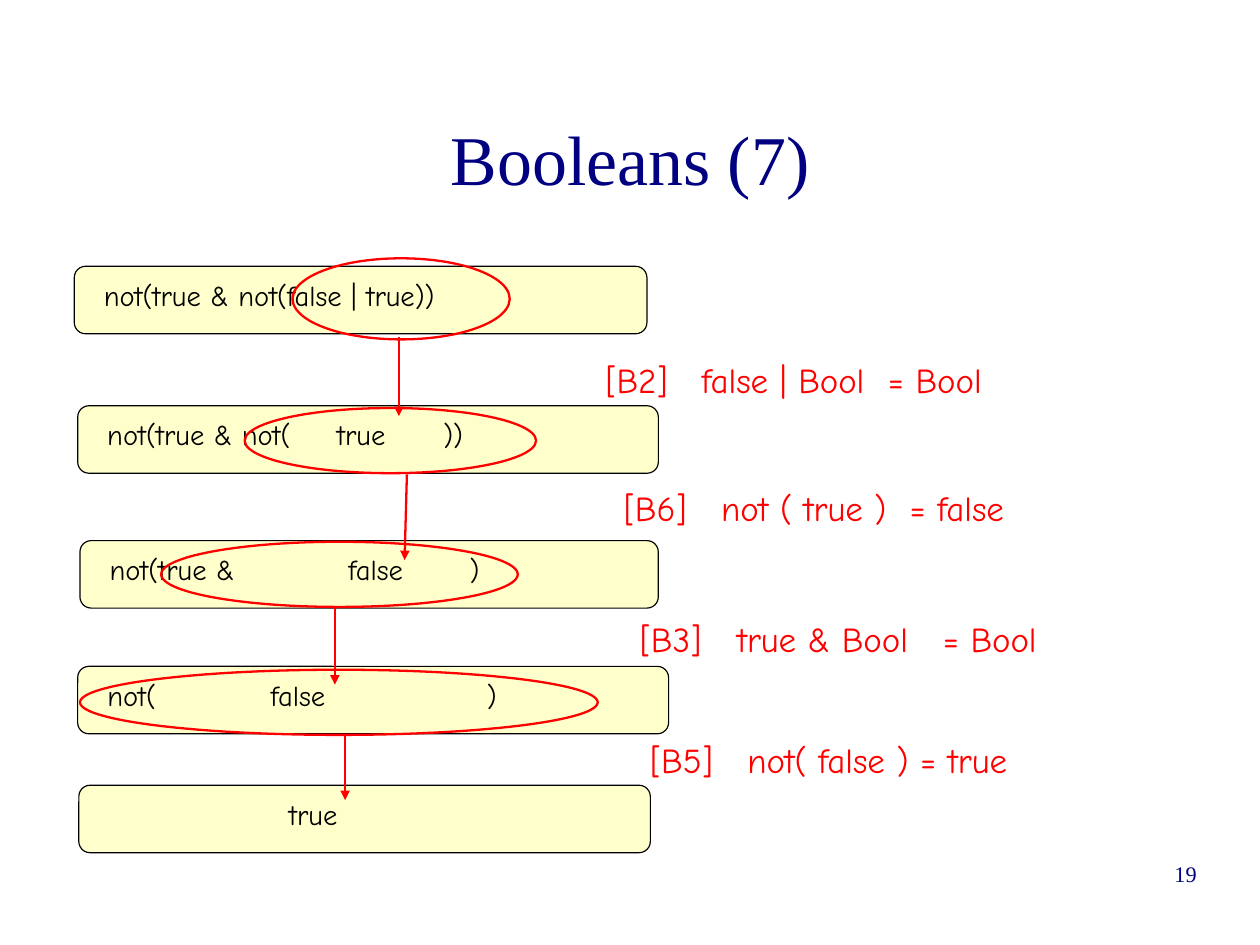
from lxml.etree import SubElement
from pptx import Presentation
from pptx.dml.color import RGBColor
from pptx.enum.shapes import MSO_CONNECTOR, MSO_SHAPE
from pptx.enum.text import MSO_ANCHOR, PP_ALIGN
from pptx.oxml.ns import qn
from pptx.util import Inches, Pt


def color(hex_code):
    return RGBColor.from_string(hex_code)


def write(shape, text, size, font_name, hex_code, alignment=PP_ALIGN.LEFT, tabs=(), insets=(0, 0)):
    frame = shape.text_frame
    frame.word_wrap = True
    frame.margin_left = frame.margin_right = Inches(insets[0])
    frame.margin_top = frame.margin_bottom = Inches(insets[1])
    frame.text = text
    paragraph = frame.paragraphs[0]
    paragraph.alignment = alignment
    if tabs:
        tab_list = SubElement(paragraph._p.get_or_add_pPr(), qn("a:tabLst"))
        for position in tabs:
            SubElement(tab_list, qn("a:tab"), pos=str(Inches(position)), algn="l")
    font = paragraph.runs[0].font
    font.size = Pt(size)
    font.name = font_name
    font.color.rgb = color(hex_code)


SERIF = "Times New Roman"
HAND = "Comic Neue"
NAVY = "000080"
RED = "FF0000"
BLACK = "000000"
TEXT_INSETS = (0.1, 0.05)
CM_PER_INCH = 2.54

presentation = Presentation()
presentation.slide_width = Inches(28 / CM_PER_INCH)
presentation.slide_height = Inches(21 / CM_PER_INCH)
slide = presentation.slides.add_slide(presentation.slide_layouts[5])
shapes = slide.shapes

title = shapes.title
title.left, title.top, title.width, title.height = map(Inches, (0.81, 0.69, 9.41, 1.38))
write(title, "Booleans (7)", 44, SERIF, NAVY, PP_ALIGN.CENTER)
title.text_frame.vertical_anchor = MSO_ANCHOR.MIDDLE

# left, top, width, term, tab stops
terms = [
    (0.65, 2.33, 5.01, "not(true & not(false | true))", ()),
    (0.68, 3.55, 5.08, "not(true & not(\ttrue\t))", (2.01, 2.94)),
    (0.7, 4.73, 5.06, "not(true &\tfalse\t)", (2.09, 3.15)),
    (0.68, 5.83, 5.17, "not(\tfalse\t)", (1.43, 3.32)),
    (0.69, 6.87, 5, "\ttrue", (1.58,)),
]
for left, top, width, term, tabs in terms:
    box = shapes.add_shape(
        MSO_SHAPE.ROUNDED_RECTANGLE, Inches(left), Inches(top), Inches(width), Inches(0.59)
    )
    box.shadow.inherit = False
    box.fill.solid()
    box.fill.fore_color.rgb = color("FFFFCC")
    box.line.color.rgb = color(BLACK)
    box.line.width = Pt(0)
    label = shapes.add_textbox(
        Inches(left + 0.16), Inches(top + 0.05), Inches(width - 0.18), Inches(0.56)
    )
    write(label, term, 18, HAND, BLACK, tabs=tabs, insets=TEXT_INSETS)

# redex ellipse, arrow ends, rule position and width, rule, tab stops
steps = [
    ((2.56, 2.26, 1.9, 0.71), (3.49, 2.95, 3.49, 3.64), (5.2, 3.09, 4),
     "[B2]\tfalse | Bool\t= Bool", (0.84, 2.47)),
    ((2.14, 3.57, 2.55, 0.57), (3.56, 4.15, 3.54, 4.9), (5.36, 4.21, 4.99),
     "[B6]\tnot ( true )\t= false", (0.85, 2.5)),
    ((1.41, 4.74, 3.12, 0.57), (2.93, 5.31, 2.93, 5.99), (5.5, 5.35, 4.79),
     "[B3]\ttrue & Bool\t= Bool", (0.85, 2.65)),
    ((0.7, 5.86, 4.53, 0.57), (3.02, 6.43, 3.02, 7), (5.59, 6.41, 3.97),
     "[B5]\tnot( false ) = true", (0.85,)),
]
for ellipse, ends, (left, top, width), rule, tabs in steps:
    redex = shapes.add_shape(MSO_SHAPE.OVAL, *map(Inches, ellipse))
    redex.shadow.inherit = False
    redex.fill.background()
    arrow = shapes.add_connector(MSO_CONNECTOR.STRAIGHT, *map(Inches, ends))
    for outline in (redex.line, arrow.line):
        outline.color.rgb = color(RED)
        outline.width = Pt(1.45)
    properties = arrow._element.spPr
    SubElement(properties.find(qn("a:ln")), qn("a:tailEnd"), type="triangle")
    SubElement(properties, qn("a:effectLst"))
    label = shapes.add_textbox(Inches(left), Inches(top), Inches(width), Inches(0.56))
    write(label, rule, 22, HAND, RED, tabs=tabs, insets=TEXT_INSETS)

page_number = shapes.add_textbox(Inches(7.9), Inches(7.53), Inches(2.57), Inches(0.57))
write(page_number, "19", 14, SERIF, NAVY, PP_ALIGN.RIGHT)

presentation.save("out.pptx")
